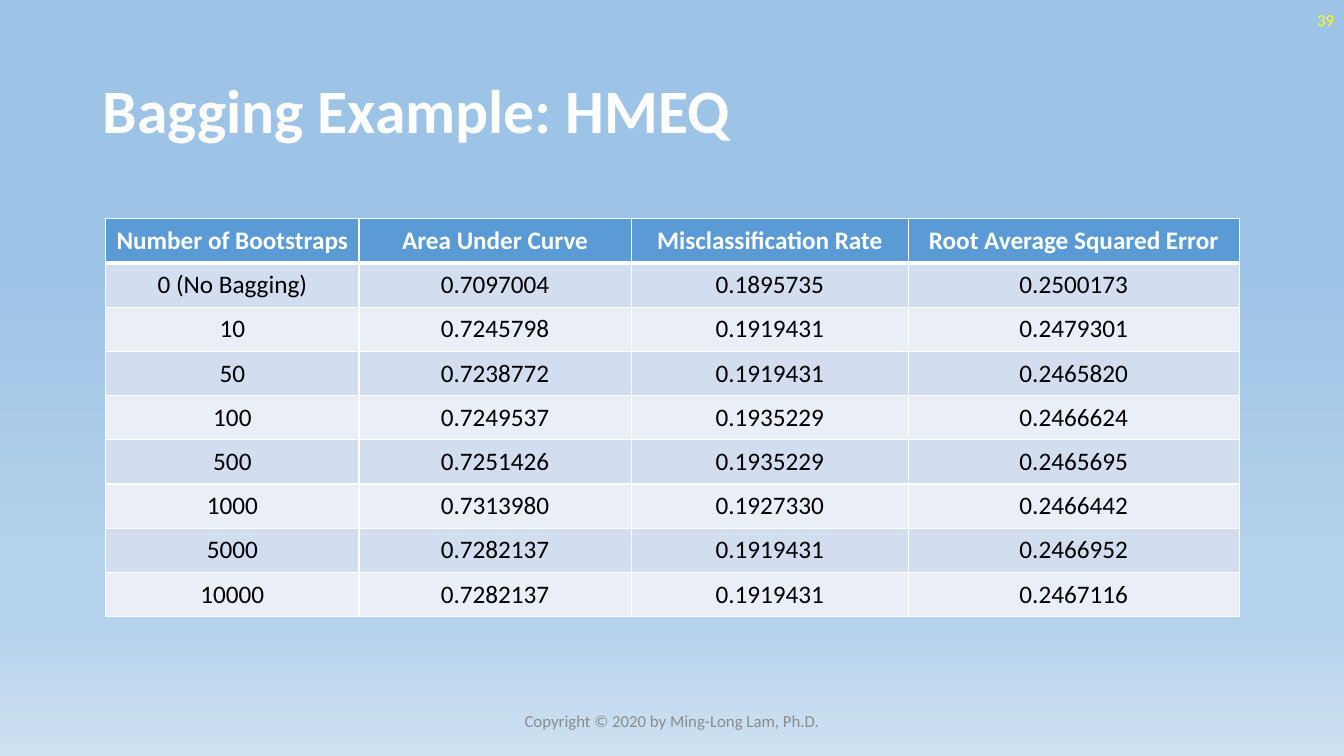
import pptx
import pptx.util
from lxml import etree
from pptx.dml.color import RGBColor
from pptx.enum.text import MSO_ANCHOR, PP_ALIGN
from pptx.oxml.ns import qn

WIDTH, HEIGHT = 13.33, 7.5
FONT = "Calibri"
WHITE = RGBColor(0xFF, 0xFF, 0xFF)
BLACK = RGBColor(0x00, 0x00, 0x00)
YELLOW = RGBColor(0xFF, 0xFF, 0x00)
GRAY = RGBColor(0x8C, 0x8C, 0x8C)
HEADER_BLUE = RGBColor(0x5B, 0x9B, 0xD5)
BANDS = [RGBColor(0xD2, 0xDE, 0xEF), RGBColor(0xEA, 0xEF, 0xF7)]
SKY_STOPS = [
    (35, RGBColor(0x9D, 0xC3, 0xE6)),
    (74, RGBColor(0xB5, 0xD2, 0xEC)),
    (83, RGBColor(0xB5, 0xD2, 0xEC)),
    (100, RGBColor(0xCE, 0xE1, 0xF2)),
]

COLUMN_WIDTHS = [2.51, 2.7, 2.75, 3.28]
RESULTS = [
    ["Number of Bootstraps", "Area Under Curve", "Misclassification Rate", "Root Average Squared Error"],
    ["0 (No Bagging)", "0.7097004", "0.1895735", "0.2500173"],
    ["10", "0.7245798", "0.1919431", "0.2479301"],
    ["50", "0.7238772", "0.1919431", "0.2465820"],
    ["100", "0.7249537", "0.1935229", "0.2466624"],
    ["500", "0.7251426", "0.1935229", "0.2465695"],
    ["1000", "0.7313980", "0.1927330", "0.2466442"],
    ["5000", "0.7282137", "0.1919431", "0.2466952"],
    ["10000", "0.7282137", "0.1919431", "0.2467116"],
]


def inches(*lengths):
    return [pptx.util.Inches(length) for length in lengths]


def style(p, size, color, align, bold=False):
    p.alignment = align
    p.font.name = FONT
    p.font.size = pptx.util.Pt(size)
    p.font.bold = bold
    p.font.color.rgb = color


def paint_background(s):
    fill = s.background.fill
    fill.gradient()
    fill.gradient_angle = 270
    stops = s.element.find(".//" + qn("a:gsLst"))
    for stop in list(stops):
        stops.remove(stop)
    for percent, color in SKY_STOPS:
        stop = etree.SubElement(stops, qn("a:gs"), pos=str(percent * 1000))
        etree.SubElement(stop, qn("a:srgbClr"), val=str(color))


def add_text(s, box, text, size, color, align, bold=False):
    tf = s.shapes.add_textbox(*inches(*box)).text_frame
    tf.word_wrap = True
    tf.vertical_anchor = MSO_ANCHOR.MIDDLE
    p = tf.paragraphs[0]
    p.text = text
    style(p, size, color, align, bold)
    return p


def add_border(cell, side, points):
    line = etree.SubElement(cell._tc.get_or_add_tcPr(), qn("a:ln" + side), w=str(pptx.util.Pt(points)))
    fill = etree.SubElement(line, qn("a:solidFill"))
    etree.SubElement(fill, qn("a:srgbClr"), val=str(WHITE))


def add_results_table(s, box):
    table = s.shapes.add_table(len(RESULTS), len(COLUMN_WIDTHS), *inches(*box)).table
    for column, width in zip(table.columns, COLUMN_WIDTHS):
        column.width = pptx.util.Inches(width)
    for i, values in enumerate(RESULTS):
        header = i == 0
        for j, value in enumerate(values):
            cell = table.cell(i, j)
            cell.vertical_anchor = MSO_ANCHOR.MIDDLE
            # The rule between header and body is thicker
            for side in "LRTB":
                thick = (side == "B" and i == 0) or (side == "T" and i == 1)
                add_border(cell, side, 3 if thick else 1)
            cell.fill.solid()
            cell.fill.fore_color.rgb = HEADER_BLUE if header else BANDS[(i - 1) % 2]
            cell.text = value
            style(cell.text_frame.paragraphs[0], 18, WHITE if header else BLACK, PP_ALIGN.CENTER, header)


def build_slide(prs):
    s = prs.slides.add_slide(prs.slide_layouts[6])
    paint_background(s)
    # Title
    title = add_text(s, (0.92, 0.4, 11.5, 1.45), "Bagging Example: HMEQ", 44, WHITE, PP_ALIGN.LEFT, True)
    title.line_spacing = 0.9
    # Slide number
    add_text(s, (WIDTH - 3, 0, 3, 0.4), "39", 12, YELLOW, PP_ALIGN.RIGHT)
    # Results
    add_results_table(s, (1.05, 2.17, sum(COLUMN_WIDTHS), 3.95))
    # Footer
    add_text(s, ((WIDTH - 4.5) / 2, 6.95, 4.5, 0.4), "Copyright © 2020 by Ming-Long Lam, Ph.D.", 12, GRAY, PP_ALIGN.CENTER)


def main():
    prs = pptx.Presentation()
    prs.slide_width, prs.slide_height = inches(WIDTH, HEIGHT)
    build_slide(prs)
    prs.save("out.pptx")


if __name__ == "__main__":
    main()
